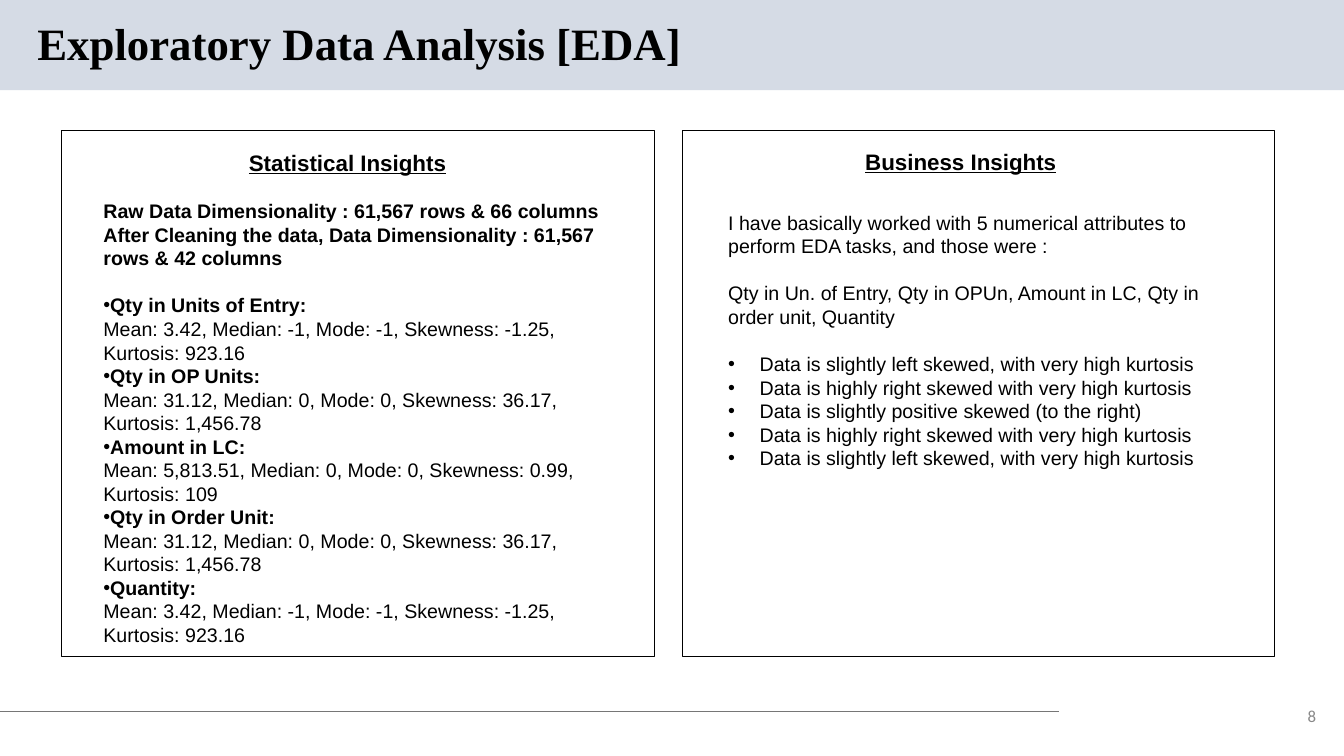
from lxml import etree
from pptx import Presentation
from pptx.dml.color import RGBColor
from pptx.enum.shapes import MSO_CONNECTOR, MSO_SHAPE
from pptx.enum.text import MSO_ANCHOR, MSO_AUTO_SIZE, PP_ALIGN
from pptx.oxml.ns import qn
from pptx.util import Pt

PX = 9525
BLACK = RGBColor(0, 0, 0)
BAND = RGBColor(0xD5, 0xDB, 0xE5)
RULE = RGBColor(0x76, 0x76, 0x76)
GREY = RGBColor(0x88, 0x88, 0x88)
RECT = MSO_SHAPE.RECTANGLE
LINE = MSO_CONNECTOR.STRAIGHT
LEFT, MID, RIGHT = PP_ALIGN.LEFT, PP_ALIGN.CENTER, PP_ALIGN.RIGHT
PITCH = Pt(16.8)

STATS = [
    ("Qty in Units of Entry:",
     "Mean: 3.42, Median: -1, Mode: -1, Skewness: -1.25, Kurtosis: 923.16"),
    ("Qty in OP Units:",
     "Mean: 31.12, Median: 0, Mode: 0, Skewness: 36.17, Kurtosis: 1,456.78"),
    ("Amount in LC:",
     "Mean: 5,813.51, Median: 0, Mode: 0, Skewness: 0.99, Kurtosis: 109"),
    ("Qty in Order Unit:",
     "Mean: 31.12, Median: 0, Mode: 0, Skewness: 36.17, Kurtosis: 1,456.78"),
    ("Quantity:",
     "Mean: 3.42, Median: -1, Mode: -1, Skewness: -1.25, Kurtosis: 923.16"),
]
SIZES = [
    "Raw Data Dimensionality : 61,567 rows & 66 columns",
    "After Cleaning the data, Data Dimensionality : 61,567 rows & 42 columns",
]
INTRO = [
    "I have basically worked with 5 numerical attributes to perform EDA tasks, "
    "and those were :",
    "Qty in Un. of Entry, Qty in OPUn, Amount in LC, Qty in order unit, Quantity",
]
SKEWS = [
    "Data is slightly left skewed, with very high kurtosis",
    "Data is highly right skewed with very high kurtosis",
    "Data is slightly positive skewed (to the right)",
    "Data is highly right skewed with very high kurtosis",
    "Data is slightly left skewed, with very high kurtosis",
]


def scale(*nums):
    return [n * PX for n in nums]


def add_rect(slide, box, fill=None, line=None):
    rect = slide.shapes.add_shape(RECT, *scale(*box))
    rect.shadow.inherit = False
    if fill is None:
        rect.fill.background()
    else:
        rect.fill.solid()
        rect.fill.fore_color.rgb = fill
    if line is None:
        rect.line.fill.background()
    else:
        rect.line.color.rgb = line
        rect.line.width = Pt(0.75)
    return rect


def add_rule(slide, ends):
    rule = slide.shapes.add_connector(LINE, *scale(*ends))
    rule.line.color.rgb = RULE
    rule.line.width = Pt(0.75)
    etree.SubElement(rule.element.spPr, qn("a:effectLst"))


def add_frame(slide, box, anchor=MSO_ANCHOR.TOP):
    frame = slide.shapes.add_textbox(*scale(*box)).text_frame
    frame.word_wrap = True
    frame.vertical_anchor = anchor
    return frame


def add_run(para, text, size=14, bold=False, face="Arial", color=BLACK):
    run = para.add_run()
    run.text = text
    run.font.size = Pt(size)
    run.font.bold = bold
    run.font.name = face
    run.font.color.rgb = color
    return run


def add_para(frame, gap=False):
    """Start a body paragraph, one empty line below the last if gap is set."""
    para = frame.paragraphs[0]
    if para.runs:
        para = frame.add_paragraph()
    para.line_spacing = PITCH
    if gap:
        para.space_before = PITCH
    return para


def add_bullet(para, indent=0):
    props = para._p.get_or_add_pPr()
    props.set("marL", str(indent * PX))
    props.set("indent", str(-indent * PX))
    etree.SubElement(props, qn("a:buFont")).set("typeface", "Arial")
    etree.SubElement(props, qn("a:buChar")).set("char", "•")


def add_head(slide, box, text):
    para = add_frame(slide, box).paragraphs[0]
    para.alignment = MID
    add_run(para, text, 16, True).font.underline = True


def set_title(slide, box, text):
    title = slide.shapes.title
    title.left, title.top, title.width, title.height = scale(*box)
    frame = title.text_frame
    frame.auto_size = MSO_AUTO_SIZE.NONE
    frame.vertical_anchor = MSO_ANCHOR.MIDDLE
    para = frame.paragraphs[0]
    para.alignment = LEFT
    para.line_spacing = 0.9
    add_run(para, text, 32, True, "Times New Roman")


def add_stats(slide, box):
    frame = add_frame(slide, box)
    for text in SIZES:
        add_run(add_para(frame), text, bold=True)
    for i, (name, data) in enumerate(STATS):
        para = add_para(frame, gap=i == 0)
        add_bullet(para)
        add_run(para, name, bold=True)
        para.add_line_break()
        add_run(para, data)


def add_skews(slide, box):
    frame = add_frame(slide, box)
    for i, text in enumerate(INTRO):
        add_run(add_para(frame, gap=i > 0), text)
    for i, text in enumerate(SKEWS):
        para = add_para(frame, gap=i == 0)
        add_bullet(para, 30)
        add_run(para, text)


def main():
    deck = Presentation()
    deck.slide_width, deck.slide_height = scale(1280, 720)
    slide = deck.slides.add_slide(deck.slide_layouts[5])

    band = add_rect(slide, (0, 0, 1280, 86), fill=BAND)
    slide.shapes.title.element.addprevious(band.element)
    set_title(slide, (26, 15, 971, 57), "Exploratory Data Analysis [EDA]")
    add_rule(slide, (0, 678, 1009, 678))

    page = add_frame(slide, (1222, 666, 41, 31), MSO_ANCHOR.MIDDLE).paragraphs[0]
    page.alignment = RIGHT
    add_run(page, "8", 12, face="Calibri", color=GREY)

    for left in (59, 650):
        add_rect(slide, (left, 124, 564, 501), line=BLACK)
    add_head(slide, (49, 137, 564, 36), "Statistical Insights")
    add_head(slide, (633, 136, 564, 36), "Business Insights")
    add_stats(slide, (89, 185, 503, 468))
    add_skews(slide, (684, 196, 483, 258))
    deck.save("out.pptx")


if __name__ == "__main__":
    main()
